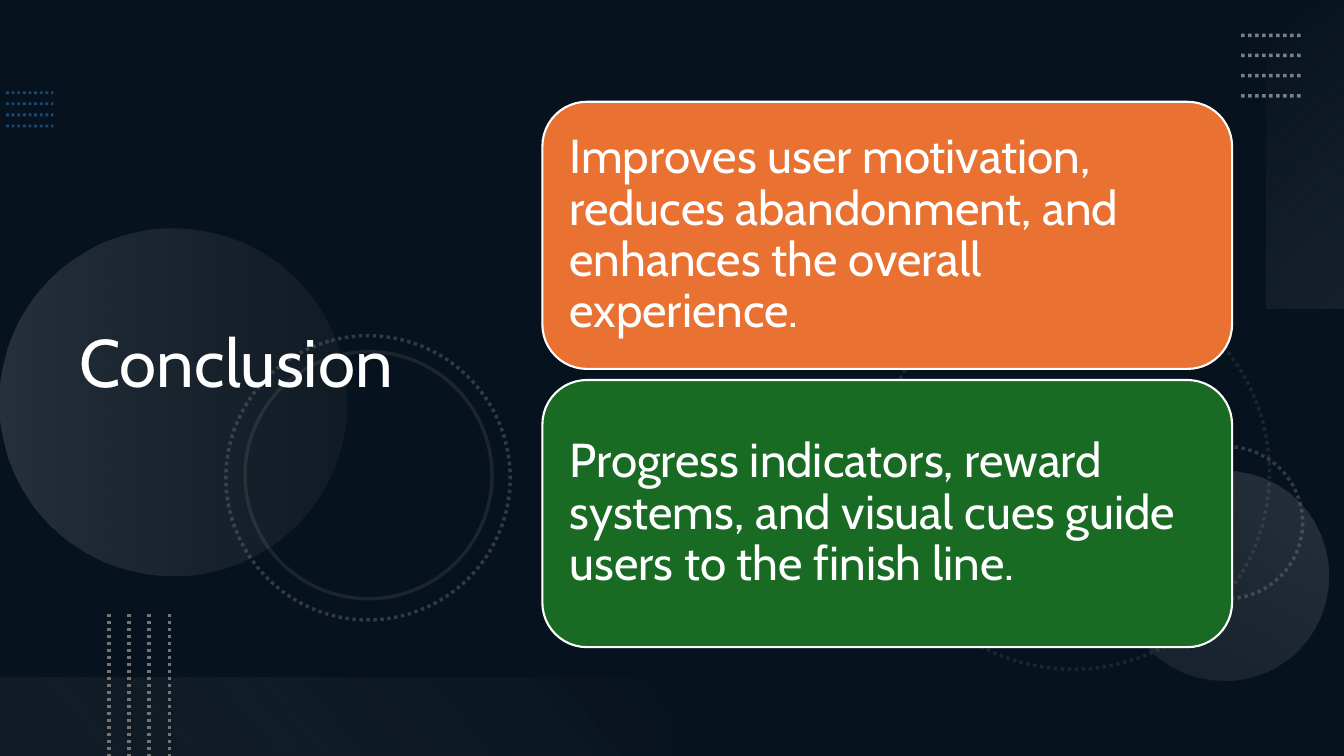
from lxml import etree
from pptx import Presentation
from pptx.dml.color import RGBColor
from pptx.enum import dml, shapes, text
from pptx.oxml import ns
from pptx.util import Inches, Pt

# Content
TITLE = "Conclusion"
CARDS = [
    ("Improves user motivation, reduces abandonment, and enhances the overall experience.", "E97132"),
    ("Progress indicators, reward systems, and visual cues guide users to the finish line.", "196B24"),
]
FONT, WHITE = "Cabin", "FFFFFF"
BACKDROP, VEIL = "0E2841", "000000"

# Rings: left, top, diameter, dotted, opacity
BACK_RINGS = [(8.69, 2.74, 3.9, True, 20), (11.41, 4.43, 1.51, True, 40)]
FRONT_RINGS = [(2.24, 3.33, 2.82, True, 40), (2.43, 3.49, 2.45, False, 20)]
# Gradients: left, top, width, height, rotation, angle, stops (position, colour, opacity)
DISCS = [
    (0, 2.27, 3.44, 3.44, 270, 90, [(0, "AEAEAE", 20), (100, "747474", 10)]),
    (11.1, 4.67, 2.08, 2.08, 210, 90, [(0, "AEAEAE", 10), (100, "AEAEAE", 20)]),
]
CORNER_PANEL = (11.42, 1.14, 3.06, 0.78, 270, 140, [(0, "F6F6F6", 0), (100, "AEAEAE", 10)])
FLOOR_PANEL = (0, 6.72, 6.67, 0.78, 180, 140, [(10, "747474", 10), (100, "F1F1F1", 0)])
# Dot rows: start x, start y, run x, run y, step x, step y, colour, width, opacity
BLUE_DOTS = (0.06, 0.92, 0.47, 0, 0, 0.11, "2D7FCF", 2, 50)
CORNER_DOTS = (12.31, 0.35, 0.6, 0, 0, 0.2, "AEAEAE", 2.5, 70)
FLOOR_DOTS = (1.08, 6.09, 0, 1.41, 0.2, 0, "747474", 2.5, 100)
DOT_ROWS = 4

CARD_LEFT, CARD_TOP, CARD_WIDTH, CARD_HEIGHT, CARD_STEP = 5.38, 1.01, 6.84, 2.65, 2.76

deck = Presentation()
deck.slide_width, deck.slide_height = Inches(13.33), Inches(7.5)
slide = deck.slides.add_slide(deck.slide_layouts[6])


def rgb(code):
    return RGBColor.from_string(code)


def fade(shape, opacity):
    for colour in shape._element.spPr.iter(ns.qn("a:srgbClr")):
        etree.SubElement(colour, ns.qn("a:alpha")).set("val", str(opacity * 1000))


def add_block(kind, left, top, width, height, fill=None):
    block = slide.shapes.add_shape(kind, *map(Inches, (left, top, width, height)))
    block.shadow.inherit = False
    block.line.fill.background()
    if fill:
        block.fill.solid()
        block.fill.fore_color.rgb = rgb(fill)
    else:
        block.fill.background()
    return block


def draw_line(line, colour, width, dotted=False):
    line.color.rgb = rgb(colour)
    line.width = Pt(width)
    if dotted:
        line.dash_style = dml.MSO_LINE.ROUND_DOT


def add_ring(left, top, diameter, dotted, opacity):
    ring = add_block(shapes.MSO_SHAPE.OVAL, left, top, diameter, diameter)
    ring.rotation = 75
    draw_line(ring.line, "747474", 2.5, dotted)
    fade(ring, opacity)


def add_glow(kind, left, top, width, height, rotation, angle, stops):
    glow = add_block(kind, left, top, width, height)
    glow.rotation = rotation
    props = glow._element.spPr
    gradient = etree.Element(ns.qn("a:gradFill"), rotWithShape="1")
    stop_list = etree.SubElement(gradient, ns.qn("a:gsLst"))
    for position, colour, opacity in stops:
        stop = etree.SubElement(stop_list, ns.qn("a:gs"), pos=str(position * 1000))
        tint = etree.SubElement(stop, ns.qn("a:srgbClr"), val=colour)
        etree.SubElement(tint, ns.qn("a:alpha"), val=str(opacity * 1000))
    etree.SubElement(gradient, ns.qn("a:lin"), ang=str(angle * 60000), scaled="0")
    props.replace(props.find(ns.qn("a:noFill")), gradient)


def add_dots(x, y, run_x, run_y, step_x, step_y, colour, width, opacity):
    for row in range(DOT_ROWS):
        left, top = x + row * step_x, y + row * step_y
        dots = slide.shapes.add_connector(
            shapes.MSO_CONNECTOR.STRAIGHT,
            *map(Inches, (left, top, left + run_x, top + run_y)))
        draw_line(dots.line, colour, width, True)
        fade(dots, opacity)
        etree.SubElement(dots._element.spPr, ns.qn("a:effectLst"))


def write(shape, words, size, inset_x, inset_y):
    frame = shape.text_frame
    layout = {
        "word_wrap": True, "vertical_anchor": text.MSO_ANCHOR.MIDDLE,
        "margin_left": Inches(inset_x), "margin_right": Inches(inset_x),
        "margin_top": Inches(inset_y), "margin_bottom": Inches(inset_y),
    }
    for name, value in layout.items():
        setattr(frame, name, value)
    paragraph = frame.paragraphs[0]
    paragraph.alignment = text.PP_ALIGN.LEFT
    paragraph.line_spacing = 0.9
    run = paragraph.add_run()
    run.text = words
    for name, value in {"name": FONT, "size": Pt(size)}.items():
        setattr(run.font, name, value)
    run.font.color.rgb = rgb(WHITE)


# Background
slide.background.fill.solid()
slide.background.fill.fore_color.rgb = rgb(BACKDROP)
fade(add_block(shapes.MSO_SHAPE.RECTANGLE, 0, 0, 13.33, 7.5, VEIL), 53)

# Decoration, back to front
add_dots(*BLUE_DOTS)
for ring in BACK_RINGS:
    add_ring(*ring)
for disc in DISCS:
    add_glow(shapes.MSO_SHAPE.OVAL, *disc)
for ring in FRONT_RINGS:
    add_ring(*ring)
for panel, dots in ((CORNER_PANEL, CORNER_DOTS), (FLOOR_PANEL, FLOOR_DOTS)):
    add_glow(shapes.MSO_SHAPE.RECTANGLE, *panel)
    add_dots(*dots)

# Title
title = slide.shapes.add_textbox(*map(Inches, (0.69, 0.54, 4.59, 6.17)))
write(title, TITLE, 48, 0.1, 0.05)

# Cards
for index, (words, colour) in enumerate(CARDS):
    card = add_block(shapes.MSO_SHAPE.ROUNDED_RECTANGLE, CARD_LEFT,
                     CARD_TOP + index * CARD_STEP, CARD_WIDTH, CARD_HEIGHT, colour)
    draw_line(card.line, WHITE, 1.5)
    write(card, words, 34, 0.14, 0.14)

deck.save("out.pptx")
